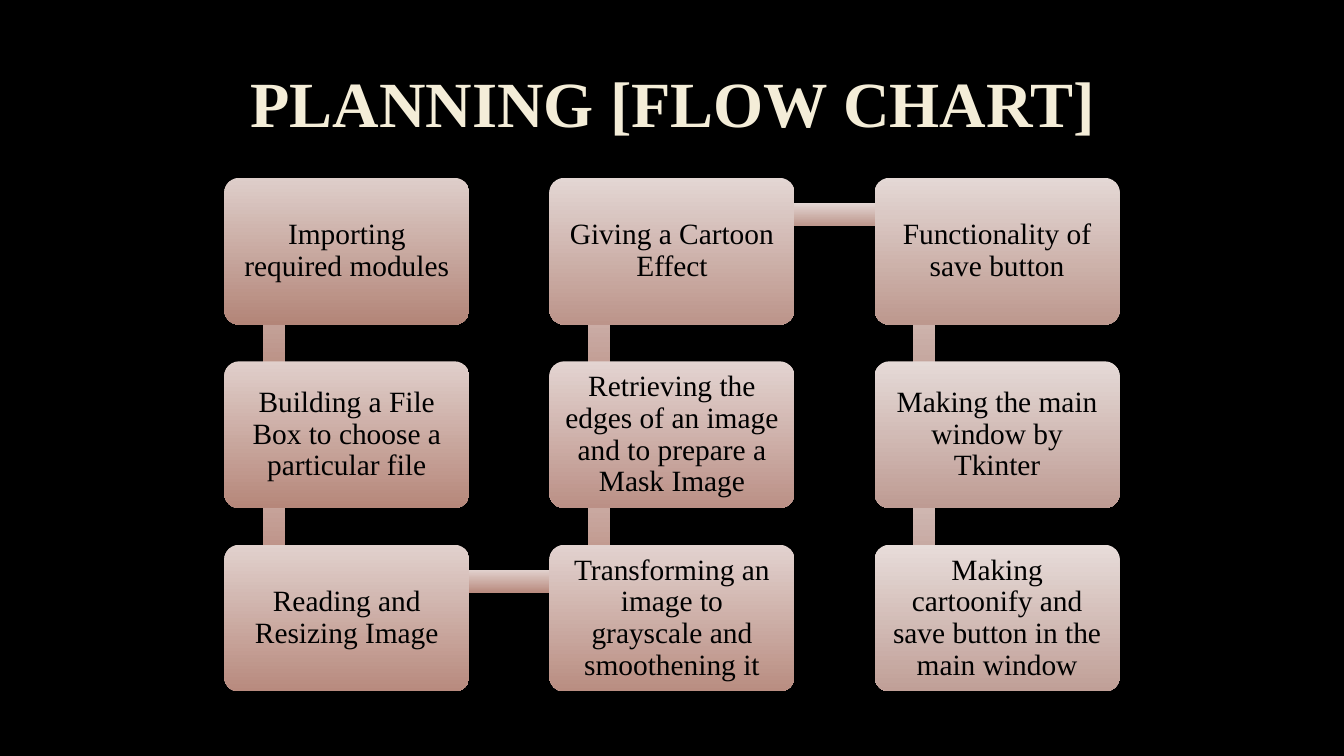
from dataclasses import dataclass
from typing import Optional

from pptx import Presentation
from pptx.dml.color import RGBColor
from pptx.enum.shapes import MSO_SHAPE
from pptx.enum.text import MSO_ANCHOR, PP_ALIGN
from pptx.util import Inches, Pt

RECTANGLE = MSO_SHAPE.RECTANGLE
ROUNDED = MSO_SHAPE.ROUNDED_RECTANGLE
MIDDLE = MSO_ANCHOR.MIDDLE
CENTER = PP_ALIGN.CENTER

BLACK = RGBColor(0x00, 0x00, 0x00)
CREAM = RGBColor(0xF4, 0xED, 0xD8)
FONT = "Times New Roman"

ROWS = 3
GRID_LEFT, GRID_TOP = 2.225, 1.765
COLUMN_PITCH, ROW_PITCH = 3.225, 1.82
BOX_WIDTH, BOX_HEIGHT = 2.43, 1.455
BOX_MARGIN = 0.09
BAR_THICKNESS = 0.22
VERTICAL_LENGTH, HORIZONTAL_LENGTH = 1.81, 3.22


@dataclass(frozen=True)
class Gradient:
    top: RGBColor
    bottom: RGBColor


@dataclass(frozen=True)
class Step:
    text: str
    box: Gradient
    bar: Optional[Gradient] = None


def gradient(top: str, bottom: str) -> Gradient:
    return Gradient(RGBColor.from_string(top), RGBColor.from_string(bottom))


STEPS = [
    Step("Importing required modules",
         gradient("DECECA", "B38578"), gradient("DECECA", "B38578")),
    Step("Building a File Box to choose a particular file",
         gradient("E0CFCB", "B6877A"), gradient("E0CFCC", "B7877B")),
    Step("Reading and Resizing Image",
         gradient("E1D1CD", "B88A7E"), gradient("E1D1CD", "B98B7F")),
    Step("Transforming an image to grayscale and smoothening it",
         gradient("E2D2CF", "B98D81"), gradient("E2D3CF", "BA8E83")),
    Step("Retrieving the edges of an image and to prepare a Mask Image",
         gradient("E3D4D1", "BB9086"), gradient("E3D5D2", "BB9288")),
    Step("Giving a Cartoon Effect",
         gradient("E3D6D3", "BC948A"), gradient("E4D7D4", "BD978D")),
    Step("Functionality of save button",
         gradient("E4D8D5", "BD988E"), gradient("E5D9D7", "BE9B92")),
    Step("Making the main window by Tkinter",
         gradient("E5DAD7", "BE9B93"), gradient("E7DCD9", "C09F97")),
    Step("Making cartoonify and save button in the main window",
         gradient("E7DCD9", "C09F97")),
]


def add_filled(slide, kind: MSO_SHAPE, left: float, top: float,
               width: float, height: float, colors: Gradient):
    shape = slide.shapes.add_shape(
        kind, Inches(left), Inches(top), Inches(width), Inches(height))
    shape.shadow.inherit = False
    shape.line.fill.background()
    shape.fill.gradient()
    shape.fill.gradient_angle = 270
    first, last = shape.fill.gradient_stops
    first.color.rgb = colors.top
    last.color.rgb = colors.bottom
    return shape


def write(shape, text: str, size: float, color: RGBColor, bold: bool = False) -> None:
    frame = shape.text_frame
    frame.word_wrap = True
    frame.vertical_anchor = MIDDLE
    paragraph = frame.paragraphs[0]
    paragraph.text = text
    paragraph.alignment = CENTER
    paragraph.line_spacing = 0.9
    paragraph.font.name = FONT
    paragraph.font.size = Pt(size)
    paragraph.font.bold = bold
    paragraph.font.color.rgb = color


def add_bar(slide, left: float, top: float, column: int, offset: int,
            colors: Gradient) -> None:
    if offset == ROWS - 1:
        add_filled(slide, RECTANGLE, left + 0.49, top + 0.25,
                   HORIZONTAL_LENGTH, BAR_THICKNESS, colors)
        return
    upper_top = top if column % 2 == 0 else top - ROW_PITCH
    add_filled(slide, RECTANGLE, left + 0.38, upper_top + 0.36,
               BAR_THICKNESS, VERTICAL_LENGTH, colors)


def add_step(slide, index: int, step: Step) -> None:
    column, offset = divmod(index, ROWS)
    row = offset if column % 2 == 0 else ROWS - 1 - offset
    left = GRID_LEFT + column * COLUMN_PITCH
    top = GRID_TOP + row * ROW_PITCH
    if step.bar:
        add_bar(slide, left, top, column, offset, step.bar)
    box = add_filled(slide, ROUNDED, left, top, BOX_WIDTH, BOX_HEIGHT, step.box)
    box.adjustments[0] = 0.1
    frame = box.text_frame
    frame.margin_left = frame.margin_right = Inches(BOX_MARGIN)
    frame.margin_top = frame.margin_bottom = Inches(BOX_MARGIN)
    write(box, step.text, 21, BLACK)


def main() -> None:
    presentation = Presentation()
    presentation.slide_width = Inches(13.33)
    presentation.slide_height = Inches(7.5)
    slide = presentation.slides.add_slide(presentation.slide_layouts[6])
    slide.background.fill.solid()
    slide.background.fill.fore_color.rgb = BLACK

    for index, step in enumerate(STEPS):
        add_step(slide, index, step)

    title = slide.shapes.add_textbox(
        Inches(1.01), Inches(0.37), Inches(11.32), Inches(1.38))
    write(title, "PLANNING [FLOW CHART]", 46, CREAM, bold=True)

    presentation.save("out.pptx")


if __name__ == "__main__":
    main()
